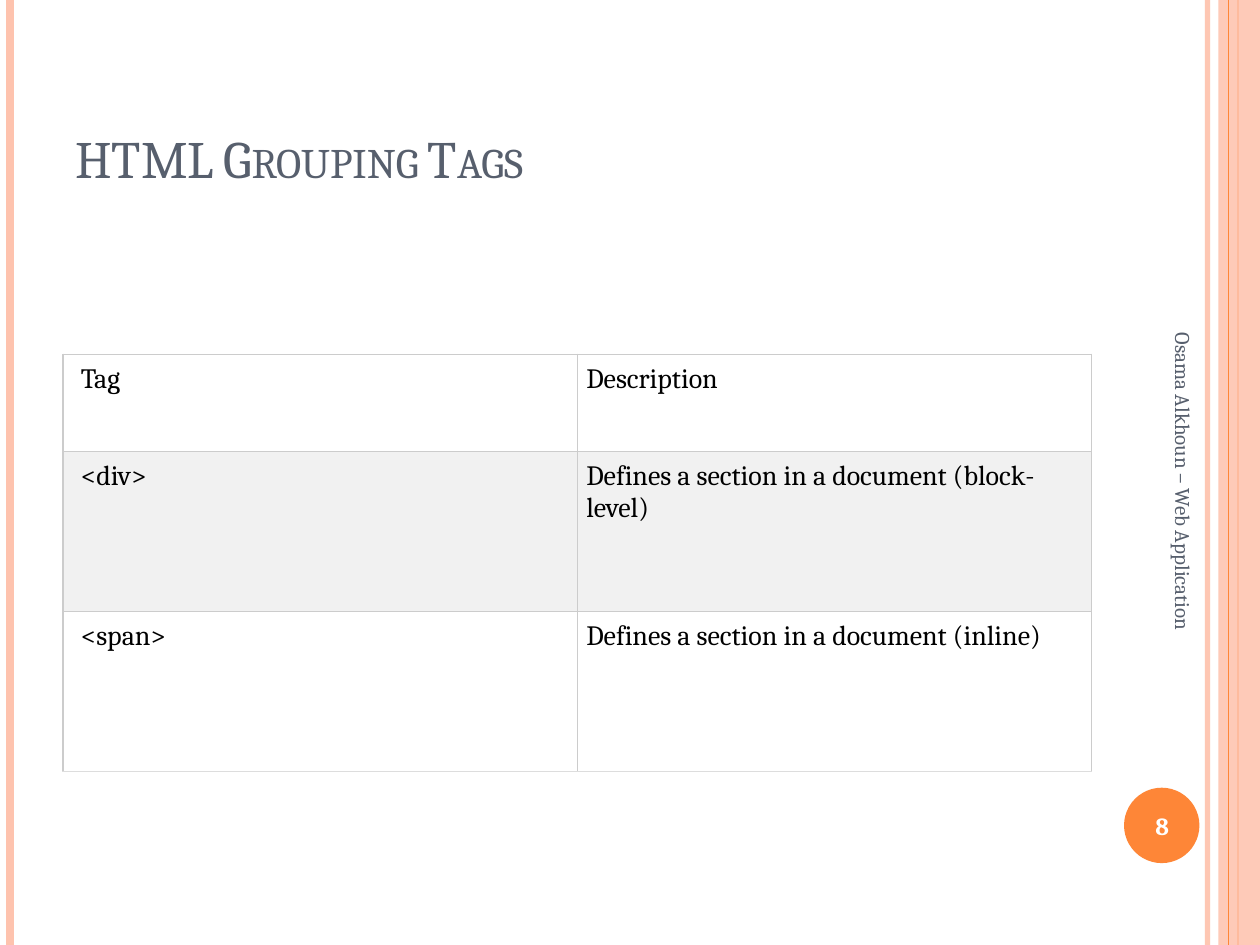
from dataclasses import dataclass

import pptx
import pptx.dml.color
import pptx.enum.shapes
import pptx.enum.text
import pptx.oxml
import pptx.oxml.ns
import pptx.util
from lxml import etree

Cm = pptx.util.Cm
Anchor = pptx.enum.text.MSO_ANCHOR
Align = pptx.enum.text.PP_ALIGN
ShapeType = pptx.enum.shapes.MSO_SHAPE
qn = pptx.oxml.ns.qn


@dataclass(frozen=True)
class Theme:
    font: str = "Cambria"
    accent: str = "FE8637"
    pale: str = "FEC3AE"
    slate: str = "575F6D"
    black: str = "000000"
    white: str = "FFFFFF"
    band: str = "F1F1F1"
    border: str = "CCCCCC"
    last_border: str = "DDDDDD"
    title_size: float = 30
    table_size: float = 16
    number_size: float = 14
    footer_size: float = 12


@dataclass(frozen=True)
class Stripe:
    x: float
    color: str
    width: float
    opacity: int = 100


@dataclass(frozen=True)
class Label:
    text: str
    left: float
    top: float
    width: float
    height: float
    size: float
    color: str
    anchor: Anchor = Anchor.MIDDLE
    align: Align = Align.LEFT
    rotation: float = 0
    bold: bool = False
    small_caps: bool = False


THEME = Theme()
SLIDE_WIDTH, SLIDE_HEIGHT = 25.4, 19.05

BACK_STRIPES = [
    Stripe(24.34, THEME.pale, 3, 93),
    Stripe(0.2, THEME.pale, 4.5),
    Stripe(24.96, THEME.accent, 1.5),
]
FRONT_STRIPE = Stripe(24.77, THEME.accent, 0.75)

LABELS = [
    Label("HTML Grouping Tags", 1.27, 0.76, 20.75, 3.18, THEME.title_size,
          THEME.slate, anchor=Anchor.BOTTOM, small_caps=True),
    Label("Osama Alkhoun – Web Application", 19.41, 10.39, 8.89, 1.02,
          THEME.footer_size, THEME.slate, rotation=90),
    Label("8", 22.58, 15.93, 1.7, 1.45, THEME.number_size, THEME.white,
          align=Align.CENTER, bold=True),
]

TABLE_ROWS = [
    ("Tag", "Description"),
    ("<div>", "Defines a section in a document (block-level)"),
    ("<span>", "Defines a section in a document (inline)"),
]
ROW_HEIGHTS = [1.96, 3.23, 3.23]
COLUMN_WIDTH = 10.37
COLUMN_INSETS = [0.36, 0.18]


def rgb(color: str) -> pptx.dml.color.RGBColor:
    return pptx.dml.color.RGBColor.from_string(color)


def set_opacity(element, percent: int) -> None:
    color = next(element.iter(qn("a:srgbClr")))
    etree.SubElement(color, qn("a:alpha"), val=str(percent * 1000))


def style_paragraph(paragraph, size: float, color: str, bold: bool = False) -> None:
    font = paragraph.font
    font.name, font.size, font.bold = THEME.font, pptx.util.Pt(size), bold
    font.color.rgb = rgb(color)


def draw_stripe(slide, stripe: Stripe) -> None:
    connector = slide.shapes.add_connector(
        pptx.enum.shapes.MSO_CONNECTOR.STRAIGHT,
        Cm(stripe.x), Cm(0), Cm(stripe.x), Cm(SLIDE_HEIGHT))
    connector.line.color.rgb = rgb(stripe.color)
    connector.line.width = pptx.util.Pt(stripe.width)
    properties = connector._element.spPr
    if stripe.opacity < 100:
        set_opacity(properties, stripe.opacity)
    etree.SubElement(properties, qn("a:effectLst"))


def draw_shape(slide, kind: ShapeType, left: float, top: float,
               width: float, height: float, color: str, opacity: int = 100) -> None:
    shape = slide.shapes.add_shape(kind, Cm(left), Cm(top), Cm(width), Cm(height))
    shape.shadow.inherit = False
    shape.fill.solid()
    shape.fill.fore_color.rgb = rgb(color)
    shape.line.fill.background()
    if opacity < 100:
        set_opacity(shape._element.spPr, opacity)


def draw_label(slide, label: Label) -> None:
    box = slide.shapes.add_textbox(
        Cm(label.left), Cm(label.top), Cm(label.width), Cm(label.height))
    box.rotation = label.rotation
    frame = box.text_frame
    frame.word_wrap = True
    frame.vertical_anchor = label.anchor
    paragraph = frame.paragraphs[0]
    paragraph.text = label.text
    paragraph.alignment = label.align
    style_paragraph(paragraph, label.size, label.color, label.bold)
    if label.small_caps:
        paragraph.runs[0].font._element.set("cap", "small")


def set_borders(cell, bottom_color: str) -> None:
    properties = cell._tc.get_or_add_tcPr()
    for index, side in enumerate(("lnL", "lnR", "lnT", "lnB")):
        line = etree.Element(qn(f"a:{side}"), w=str(pptx.util.Pt(0.75)))
        fill = etree.SubElement(line, qn("a:solidFill"))
        color = bottom_color if side == "lnB" else THEME.border
        etree.SubElement(fill, qn("a:srgbClr"), val=color)
        properties.insert(index, line)


def draw_table(slide, left: float, top: float) -> None:
    columns = len(COLUMN_INSETS)
    table = slide.shapes.add_table(
        len(TABLE_ROWS), columns, Cm(left), Cm(top),
        Cm(COLUMN_WIDTH * columns), Cm(sum(ROW_HEIGHTS))).table
    table.first_row = table.horz_banding = False
    for column in table.columns:
        column.width = Cm(COLUMN_WIDTH)
    for row_index, texts in enumerate(TABLE_ROWS):
        table.rows[row_index].height = Cm(ROW_HEIGHTS[row_index])
        is_last = row_index == len(TABLE_ROWS) - 1
        for column_index, text in enumerate(texts):
            cell = table.cell(row_index, column_index)
            cell.margin_top = cell.margin_bottom = cell.margin_right = Cm(0.18)
            cell.margin_left = Cm(COLUMN_INSETS[column_index])
            cell.fill.solid()
            cell.fill.fore_color.rgb = rgb(THEME.band if row_index % 2 else THEME.white)
            set_borders(cell, THEME.last_border if is_last else THEME.border)
            cell.text = text
            style_paragraph(cell.text_frame.paragraphs[0], THEME.table_size, THEME.black)


def main() -> None:
    presentation = pptx.Presentation()
    presentation.slide_width, presentation.slide_height = Cm(SLIDE_WIDTH), Cm(SLIDE_HEIGHT)
    slide = presentation.slides.add_slide(presentation.slide_layouts[6])

    # Number disc and edge stripes
    draw_shape(slide, ShapeType.OVAL, 22.66, 15.88, 1.52, 1.52, THEME.accent)
    for stripe in BACK_STRIPES:
        draw_stripe(slide, stripe)
    draw_shape(slide, ShapeType.RECTANGLE, 24.56, 0, 0.84, SLIDE_HEIGHT, THEME.pale, 87)
    draw_stripe(slide, FRONT_STRIPE)

    # Title, footer and page number
    for label in LABELS:
        draw_label(slide, label)

    # Tag table
    draw_table(slide, 1.27, 7.14)

    presentation.save("out.pptx")


if __name__ == "__main__":
    main()
